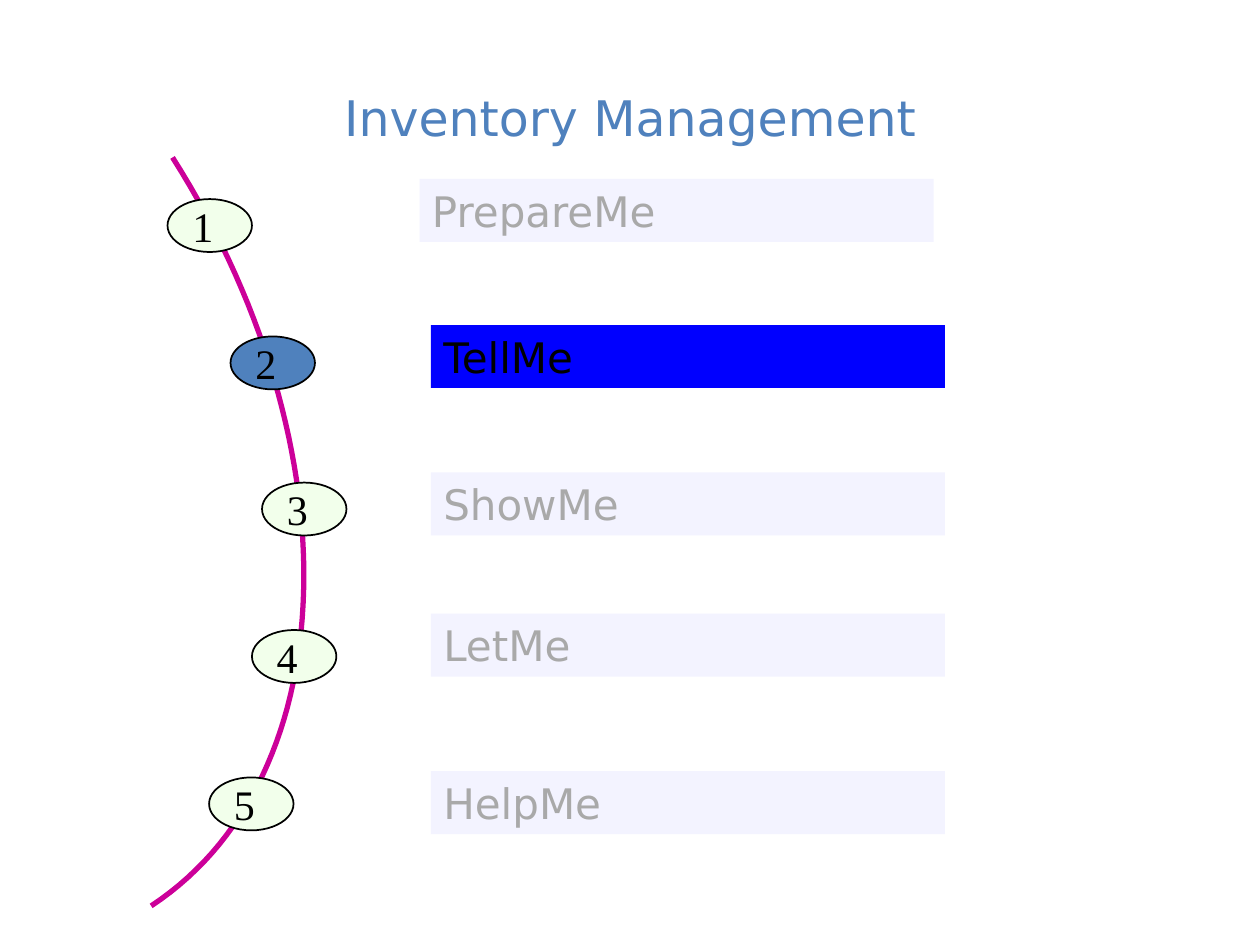
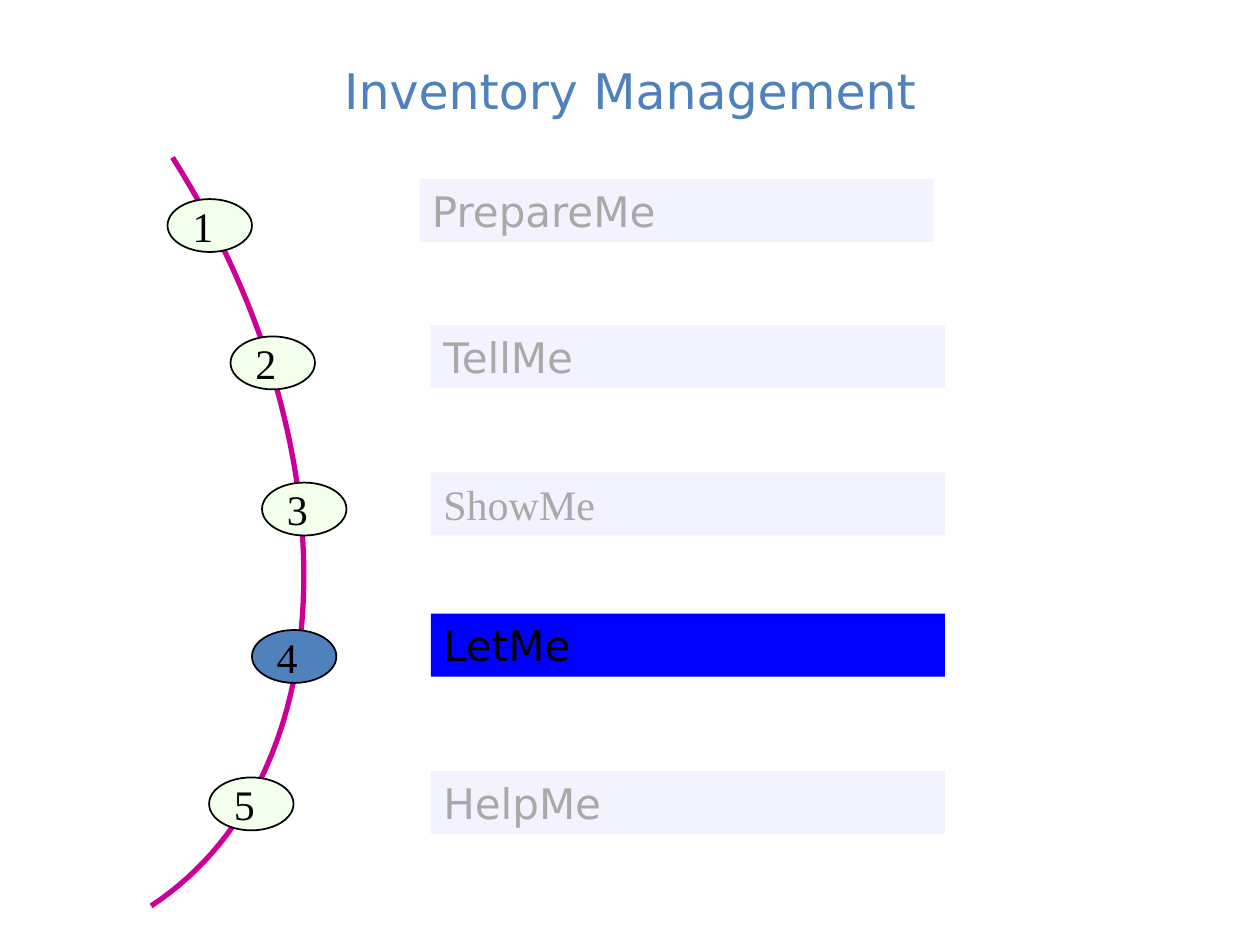
from dataclasses import dataclass

from pptx import Presentation
from pptx.dml.color import RGBColor
from pptx.enum.shapes import MSO_SHAPE
from pptx.enum.text import MSO_ANCHOR, MSO_AUTO_SIZE, PP_ALIGN
from pptx.util import Inches, Pt

OVAL = MSO_SHAPE.OVAL
RECTANGLE = MSO_SHAPE.RECTANGLE
TOP = MSO_ANCHOR.TOP
MIDDLE = MSO_ANCHOR.MIDDLE
LEFT = PP_ALIGN.LEFT
CENTER = PP_ALIGN.CENTER
GROW = MSO_AUTO_SIZE.SHAPE_TO_FIT_TEXT


@dataclass(frozen=True)
class Theme:
    """Hold the colours, fonts and sizes shared by the slides."""

    accent: str = "4F81BD"
    arc: str = "CC0099"
    ink: str = "000000"
    muted: str = "A9A9A9"
    badge: str = "F2FFEB"
    bar: str = "F3F3FF"
    active_bar: str = "0000FF"
    sans: str = "DejaVu Sans"
    serif: str = "Times New Roman"
    title_size: int = 28
    text_size: int = 24
    arc_width: int = 3
    outline_width: int = 1


@dataclass(frozen=True)
class Step:
    """Place one step's numbered badge and its labelled bar."""

    label: str
    badge_left: float
    badge_top: float
    bar_left: float
    bar_top: float


THEME = Theme()
TITLE = "Inventory Management"
STEPS = (
    Step("PrepareMe", 1.33, 1.58, 3.33, 1.42),
    Step("TellMe", 1.83, 2.67, 3.42, 2.58),
    Step("ShowMe", 2.08, 3.83, 3.42, 3.75),
    Step("LetMe", 2.0, 5.0, 3.42, 4.87),
    Step("HelpMe", 1.66, 6.17, 3.42, 6.12),
)
BADGE_SIZE = (0.67, 0.42)
BAR_SIZE = (4.08, 0.5)
ARC_CONTROLS = ((1.37, 1.25), (2.82, 3.54), (2.75, 6.17), (1.2, 7.19))
ARC_SEGMENTS = 60


def color(value):
    """Turn a hexadecimal value into a colour."""
    return RGBColor.from_string(value)


def write_text(shape, text, font_name, size, text_color, anchor, align=LEFT, wrap=True):
    """Write one formatted paragraph in a shape."""
    frame = shape.text_frame
    frame.text = text
    frame.word_wrap = wrap
    frame.vertical_anchor = anchor
    paragraph = frame.paragraphs[0]
    paragraph.alignment = align
    font = paragraph.runs[0].font
    font.name = font_name
    font.size = Pt(size)
    font.color.rgb = color(text_color)


def add_title(slide, height):
    """Add the centred slide title."""
    title = slide.shapes.add_textbox(Inches(0.5), Inches(0.3), Inches(9), Inches(height))
    write_text(title, TITLE, THEME.sans, THEME.title_size, THEME.accent, MIDDLE, CENTER)


def arc_point(position):
    """Return the point at a position from 0 to 1 along the cubic arc."""
    rest = 1 - position
    weights = (rest**3, 3 * rest**2 * position, 3 * rest * position**2, position**3)
    return tuple(
        Inches(sum(weight * value for weight, value in zip(weights, axis)))
        for axis in zip(*ARC_CONTROLS)
    )


def add_arc(slide):
    """Draw the open arc that carries the numbered badges."""
    points = [arc_point(index / ARC_SEGMENTS) for index in range(ARC_SEGMENTS + 1)]
    builder = slide.shapes.build_freeform(*points[0])
    builder.add_line_segments(points[1:], close=False)
    arc = builder.convert_to_shape()
    arc.shadow.inherit = False
    arc.fill.background()
    arc.line.color.rgb = color(THEME.arc)
    arc.line.width = Pt(THEME.arc_width)


def add_filled_shape(slide, kind, left, top, size, fill):
    """Add a flat filled preset shape without an outline."""
    shape = slide.shapes.add_shape(kind, *map(Inches, (left, top, *size)))
    shape.shadow.inherit = False
    shape.fill.solid()
    shape.fill.fore_color.rgb = color(fill)
    shape.line.fill.background()
    return shape


def add_badge(slide, step, number, active):
    """Add the numbered oval of a step."""
    fill = THEME.accent if active else THEME.badge
    badge = add_filled_shape(slide, OVAL, step.badge_left, step.badge_top, BADGE_SIZE, fill)
    badge.line.color.rgb = color(THEME.ink)
    badge.line.width = Pt(THEME.outline_width)
    write_text(badge, str(number), THEME.serif, THEME.text_size, THEME.ink, MIDDLE, wrap=False)


def add_bar(slide, step, active, font_name):
    """Add the labelled bar of a step."""
    fill = THEME.active_bar if active else THEME.bar
    text_color = THEME.ink if active else THEME.muted
    bar = add_filled_shape(slide, RECTANGLE, step.bar_left, step.bar_top, BAR_SIZE, fill)
    write_text(bar, step.label, font_name, THEME.text_size, text_color, TOP)
    bar.text_frame.auto_size = GROW


def add_steps_slide(presentation, active_label, title_height, serif_labels=()):
    """Add a slide that highlights one of the steps."""
    slide = presentation.slides.add_slide(presentation.slide_layouts[6])
    add_title(slide, title_height)
    add_arc(slide)
    for number, step in enumerate(STEPS, start=1):
        active = step.label == active_label
        font_name = THEME.serif if step.label in serif_labels else THEME.sans
        add_badge(slide, step, number, active)
        add_bar(slide, step, active, font_name)


def main():
    """Build and save the presentation."""
    presentation = Presentation()
    presentation.slide_width = Inches(10)
    presentation.slide_height = Inches(7.5)
    add_steps_slide(presentation, "TellMe", title_height=1.25)
    add_steps_slide(presentation, "LetMe", title_height=0.82, serif_labels=("ShowMe",))
    presentation.save("out.pptx")


if __name__ == "__main__":
    main()
